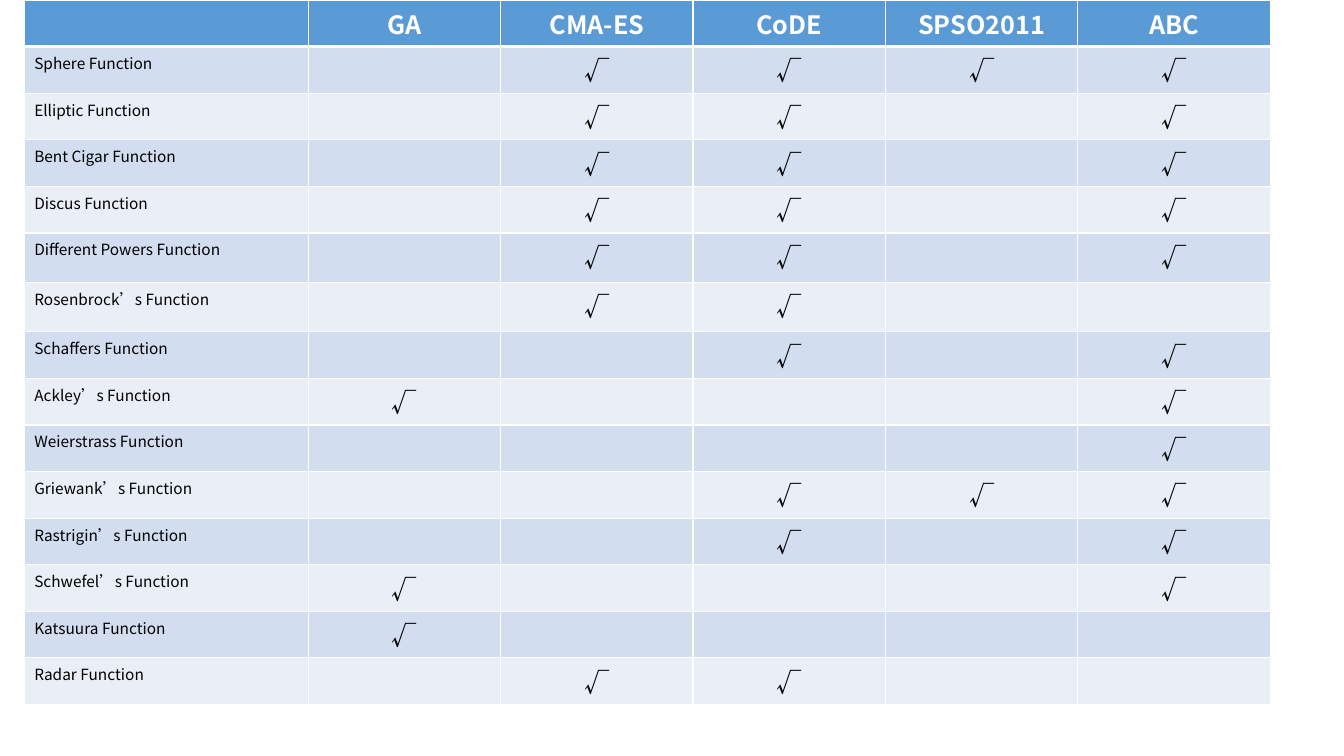
from lxml import etree
from pptx import Presentation
from pptx.dml.color import RGBColor
from pptx.enum import text
from pptx.oxml import ns
from pptx.util import Pt

THEME = {
    "font": "Noto Sans CJK SC",
    "header": RGBColor.from_string("5B9BD5"),
    "bands": [RGBColor.from_string("EAEFF7"), RGBColor.from_string("D2DEEF")],
    "white": RGBColor.from_string("FFFFFF"),
    "black": RGBColor.from_string("000000"),
    "large": Pt(18),
    "small": Pt(11),
}

ALGORITHMS = ["GA", "CMA-ES", "CoDE", "SPSO2011", "ABC"]
SOLVED_BY = {
    "Sphere Function": ["CMA-ES", "CoDE", "SPSO2011", "ABC"],
    "Elliptic Function": ["CMA-ES", "CoDE", "ABC"],
    "Bent Cigar Function": ["CMA-ES", "CoDE", "ABC"],
    "Discus Function": ["CMA-ES", "CoDE", "ABC"],
    "Different Powers Function": ["CMA-ES", "CoDE", "ABC"],
    "Rosenbrock’s Function": ["CMA-ES", "CoDE"],
    "Schaffers Function": ["CoDE", "ABC"],
    "Ackley’s Function": ["GA", "ABC"],
    "Weierstrass Function": ["ABC"],
    "Griewank’s Function": ["CoDE", "SPSO2011", "ABC"],
    "Rastrigin’s Function": ["CoDE", "ABC"],
    "Schwefel’s Function": ["GA", "ABC"],
    "Katsuura Function": ["GA"],
    "Radar Function": ["CMA-ES", "CoDE"],
}
TALL_ROWS = ["Different Powers Function", "Rosenbrock’s Function"]


def add_border(cell, side, width):
    properties = cell._tc.get_or_add_tcPr()
    line = etree.SubElement(properties, ns.qn(f"a:ln{side}"), w=str(Pt(width)))
    fill = etree.SubElement(line, ns.qn("a:solidFill"))
    etree.SubElement(fill, ns.qn("a:srgbClr"), val=str(THEME["white"]))


def write_cell(cell, content, size, color, bold, alignment):
    paragraph = cell.text_frame.paragraphs[0]
    paragraph.text = content
    paragraph.alignment = alignment
    font = paragraph.font
    font.name, font.size, font.bold = THEME["font"], size, bold
    font.color.rgb = color
    defaults = paragraph._p.get_or_add_pPr().get_or_add_defRPr()
    etree.SubElement(defaults, ns.qn("a:ea"), typeface=THEME["font"])


presentation = Presentation()
presentation.slide_width, presentation.slide_height = Pt(960), Pt(540)
slide = presentation.slides.add_slide(presentation.slide_layouts[6])

rows = [["", *ALGORITHMS]]
for function, solvers in SOLVED_BY.items():
    rows.append([function] + ["√" if name in solvers else "" for name in ALGORITHMS])

table = slide.shapes.add_table(
    len(rows), len(rows[0]), Pt(17.3), Pt(0), Pt(890), Pt(469)
).table
for index, column in enumerate(table.columns):
    column.width = Pt(137.4) if index else Pt(203)

for row_index, row in enumerate(rows):
    table.rows[row_index].height = Pt(35.3) if row[0] in TALL_ROWS else Pt(31)
    is_header = row_index == 0
    for column_index, content in enumerate(row):
        cell = table.cell(row_index, column_index)
        for side in "LRTB":
            under_header = (row_index, side) in [(0, "B"), (1, "T")]
            add_border(cell, side, 3 if under_header else 1)
        cell.fill.solid()
        cell.fill.fore_color.rgb = THEME["header"] if is_header else THEME["bands"][row_index % 2]
        if content:
            write_cell(
                cell,
                content,
                THEME["large"] if is_header or column_index else THEME["small"],
                THEME["white"] if is_header else THEME["black"],
                is_header,
                text.PP_ALIGN.CENTER if column_index else text.PP_ALIGN.LEFT,
            )

presentation.save("out.pptx")
